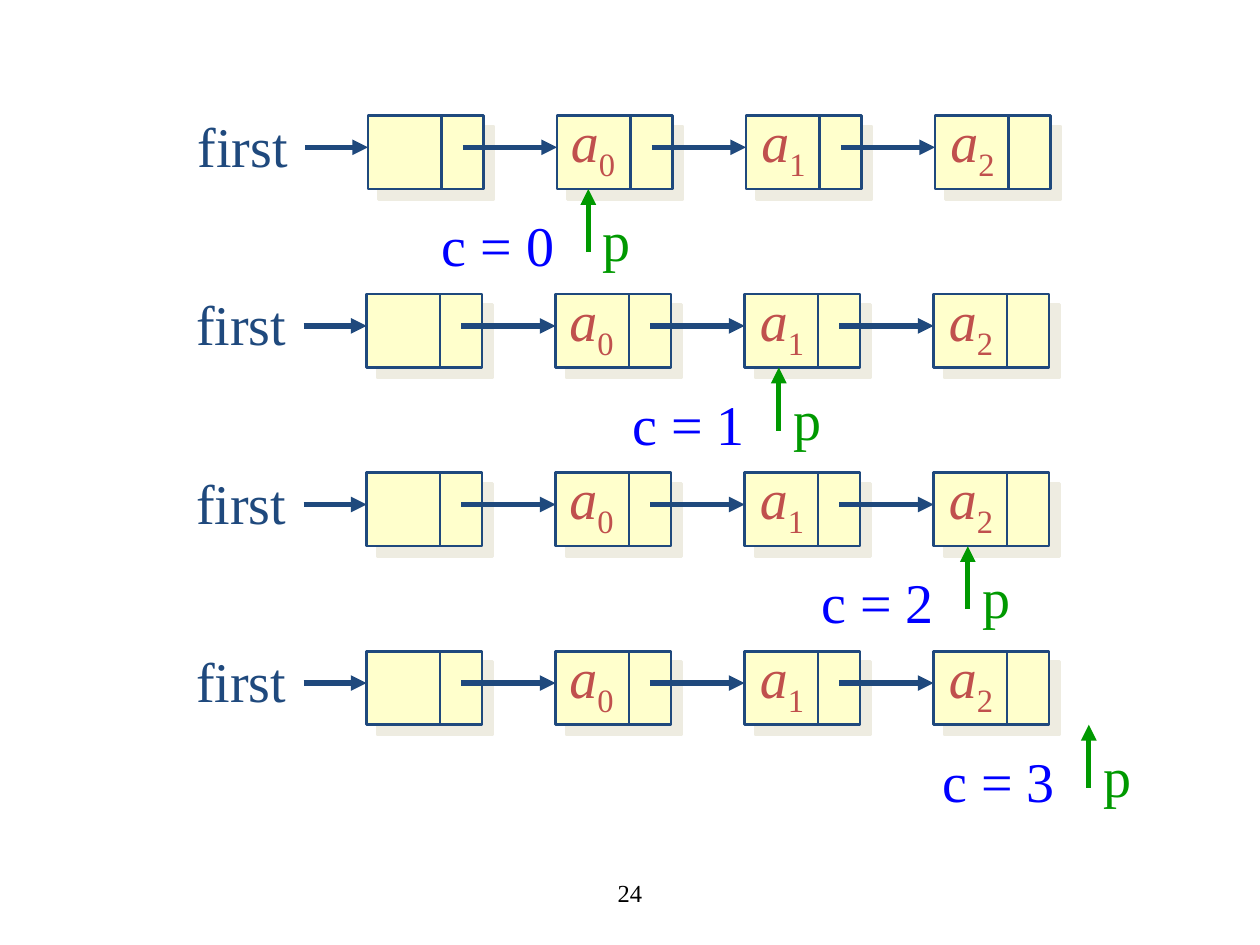
"""Build a slide tracing pointer p and counter c along a linked list."""
from typing import NamedTuple

from pptx import Presentation
from pptx.dml.color import RGBColor
from pptx.enum.shapes import MSO_CONNECTOR as Connector, MSO_SHAPE as Preset
from pptx.enum.text import MSO_ANCHOR as Anchor, MSO_AUTO_SIZE as AutoSize, PP_ALIGN as Align
from pptx.oxml.ns import qn
from pptx.oxml.xmlchemy import OxmlElement
from pptx.util import Cm, Pt

COLORS = {
    "navy": "1F497D", "cream": "FFFFCC", "shadow": "EEECE1", "green": "009900",
    "red": "C0504D", "blue": "0000FF", "black": "000000",
}
FONT = "Times New Roman"
NODE_COUNT = 4
NODE_PITCH, NODE_WIDTH, NODE_HEIGHT = 3.81, 2.33, 1.48
DIVIDER, LINK_START, LINK_DROP = 1.48, 1.91, 0.64
ROW_TOP, ROW_PITCH = 2.33, 3.6
LABEL_HEIGHT = 1.6


class Step(NamedTuple):
    count: int
    left: float
    pointer: float


class Piece(NamedTuple):
    text: str
    color: str
    size: float = 32
    italic: bool = False
    baseline: int = 0


STEPS = [
    Step(0, 7.42, 11.86),
    Step(1, 7.39, 15.7),
    Step(2, 7.39, 19.51),
    Step(3, 7.39, 21.95),
]


def color(name: str) -> RGBColor:
    return RGBColor.from_string(COLORS[name])


def add_label(slide, left: float, top: float, width: float, pieces: list[Piece],
              height: float = LABEL_HEIGHT, wrap: bool = False) -> None:
    box = slide.shapes.add_textbox(Cm(left), Cm(top), Cm(width), Cm(height))
    frame = box.text_frame
    frame.word_wrap = wrap
    frame.auto_size = AutoSize.NONE if wrap else AutoSize.SHAPE_TO_FIT_TEXT
    frame.vertical_anchor = Anchor.MIDDLE
    paragraph = frame.paragraphs[0]
    paragraph.alignment = Align.CENTER
    for piece in pieces:
        run = paragraph.add_run()
        run.text = piece.text
        run.font.name = FONT
        run.font.size = Pt(piece.size)
        run.font.italic = piece.italic
        run.font.color.rgb = color(piece.color)
        if piece.baseline:
            run.font._element.set("baseline", str(piece.baseline * 1000))


def add_line(slide, x1: float, y1: float, x2: float, y2: float,
             name: str = "navy", arrow: bool = True) -> None:
    line = slide.shapes.add_connector(Connector.STRAIGHT, Cm(x1), Cm(y1), Cm(x2), Cm(y2))
    line.line.color.rgb = color(name)
    line.line.width = Pt(3 if arrow else 1.5)
    if arrow:
        head = OxmlElement("a:tailEnd")
        head.set("type", "triangle")
        line.get_or_add_ln().append(head)
    line._element.spPr.append(OxmlElement("a:effectLst"))


def add_node(slide, left: float, top: float) -> None:
    node = slide.shapes.add_shape(
        Preset.RECTANGLE, Cm(left), Cm(top), Cm(NODE_WIDTH), Cm(NODE_HEIGHT))
    node.fill.solid()
    node.fill.fore_color.rgb = color("cream")
    node.line.color.rgb = color("navy")
    node.line.width = Pt(1.5)
    node.shadow.inherit = False
    shadow = OxmlElement("a:outerShdw")
    for key, value in {"dist": Pt(8.5), "dir": 45 * 60000, "algn": "ctr", "rotWithShape": 0}.items():
        shadow.set(key, str(int(value)) if key != "algn" else value)
    tint = OxmlElement("a:srgbClr")
    tint.set("val", COLORS["shadow"])
    shadow.append(tint)
    node._element.spPr.find(qn("a:effectLst")).append(shadow)


def add_step(slide, step: Step, top: float) -> None:
    link_y = top + LINK_DROP
    bottom = top + NODE_HEIGHT
    lefts = [step.left + index * NODE_PITCH for index in range(NODE_COUNT)]
    for index, left in enumerate(lefts):
        add_node(slide, left, top)
        if index < NODE_COUNT - 1:
            add_line(slide, left + LINK_START, link_y, left + NODE_PITCH, link_y)
        add_line(slide, left + DIVIDER, top, left + DIVIDER, bottom, arrow=False)
    add_line(slide, step.left - 1.27, link_y, step.left, link_y)
    add_label(slide, step.left - 3.78, top - 0.21, 2.51, [Piece("first", "navy")])
    add_line(slide, step.pointer, bottom + 1.27, step.pointer, bottom, "green")
    add_label(slide, step.pointer, top + 1.69, 1.14, [Piece("p", "green")])
    for index, left in enumerate(lefts[1:]):
        nudge = 0.03 if index else 0
        add_label(slide, left + nudge, top - 0.21, 1.45, [
            Piece("a", "red", italic=True), Piece(str(index), "red", baseline=-25)])
    add_label(slide, step.pointer - 3.21, top + 1.79, 2.79, [Piece(f"c = {step.count}", "blue")])


def main() -> None:
    presentation = Presentation()
    presentation.slide_width, presentation.slide_height = Cm(25.4), Cm(19.05)
    slide = presentation.slides.add_slide(presentation.slide_layouts[6])
    add_label(slide, 8.68, 17.36, 8.04, [Piece("24", "black", 14)], height=1.27, wrap=True)
    for row, step in enumerate(STEPS):
        add_step(slide, step, ROW_TOP + row * ROW_PITCH)
    presentation.save("out.pptx")


main()
